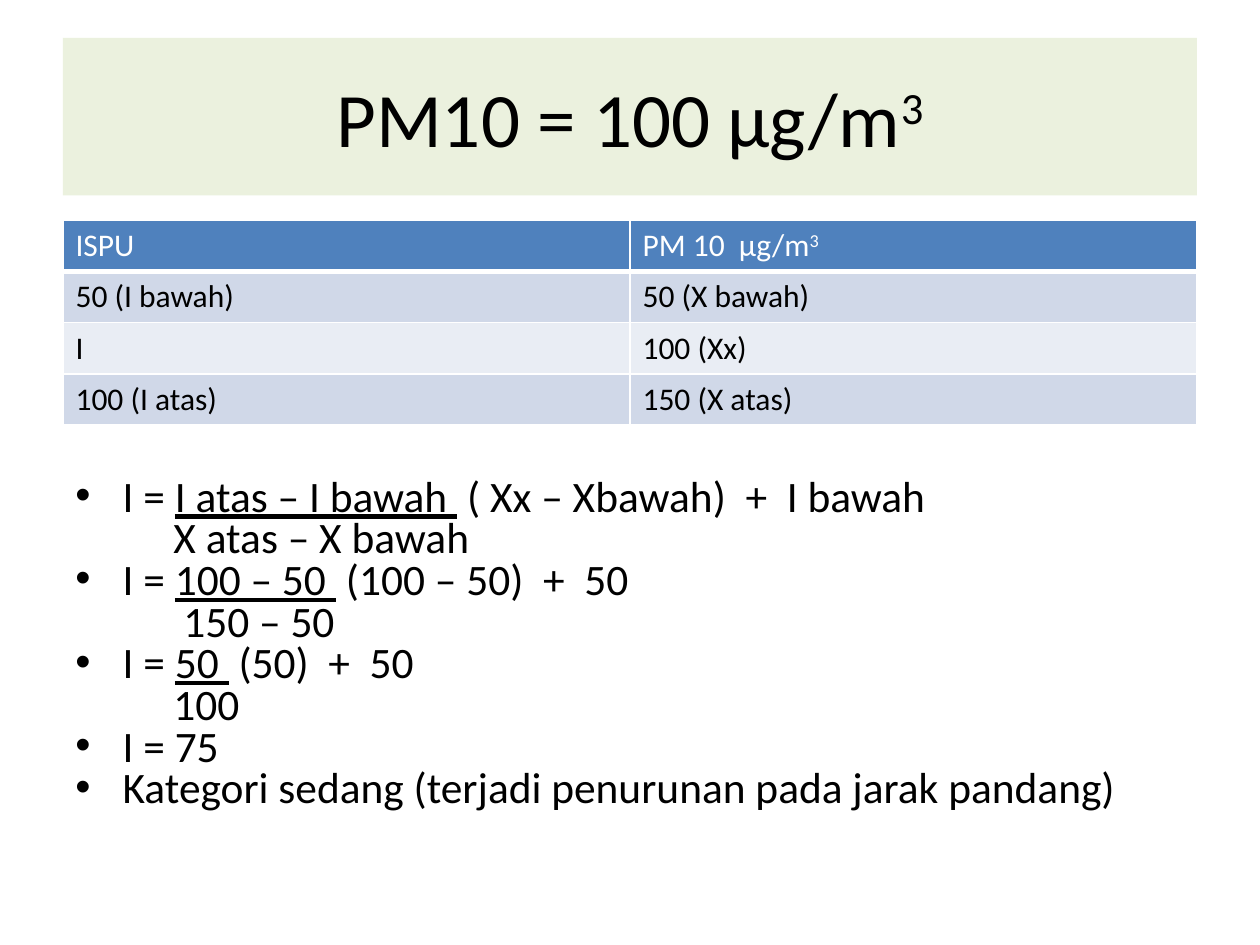
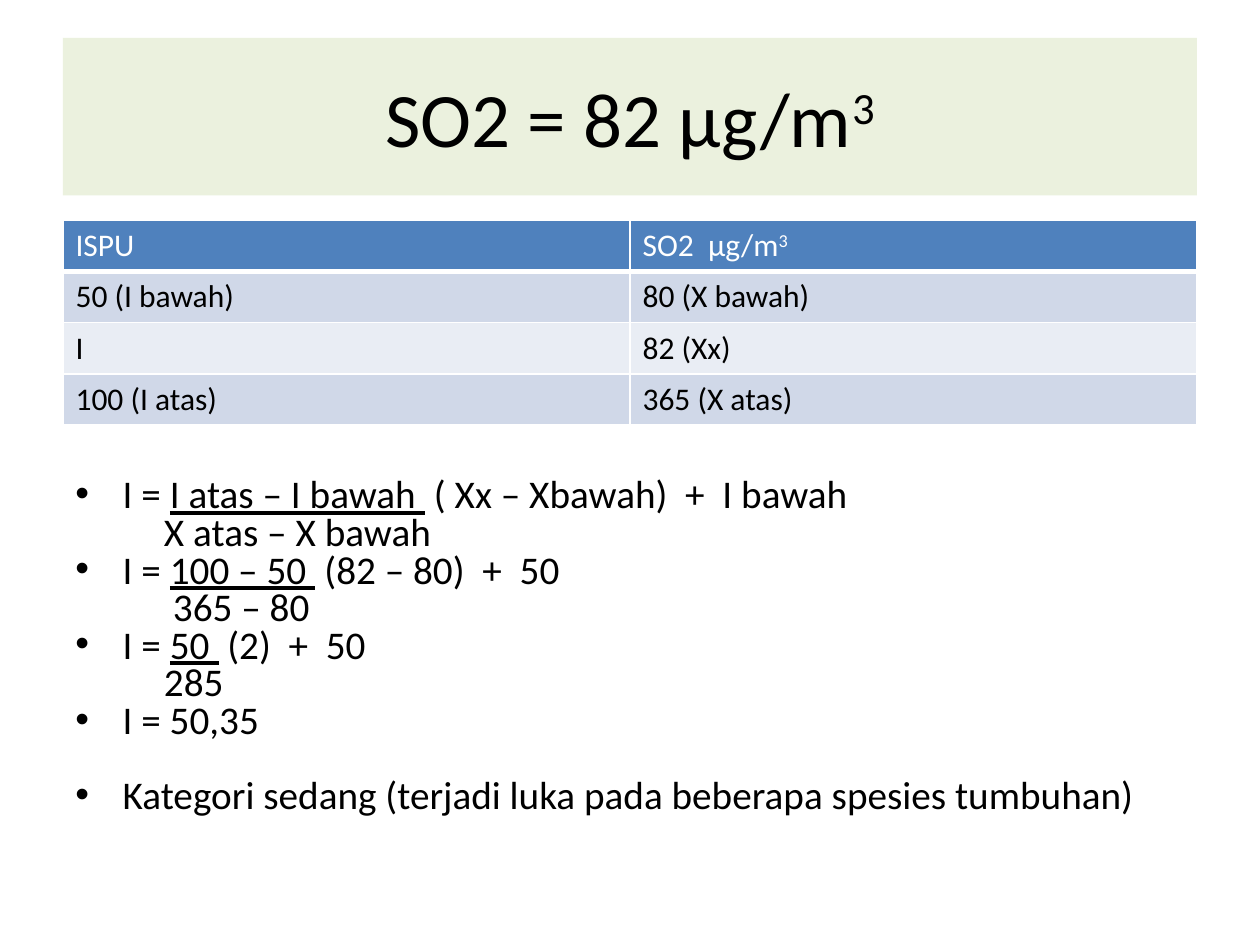
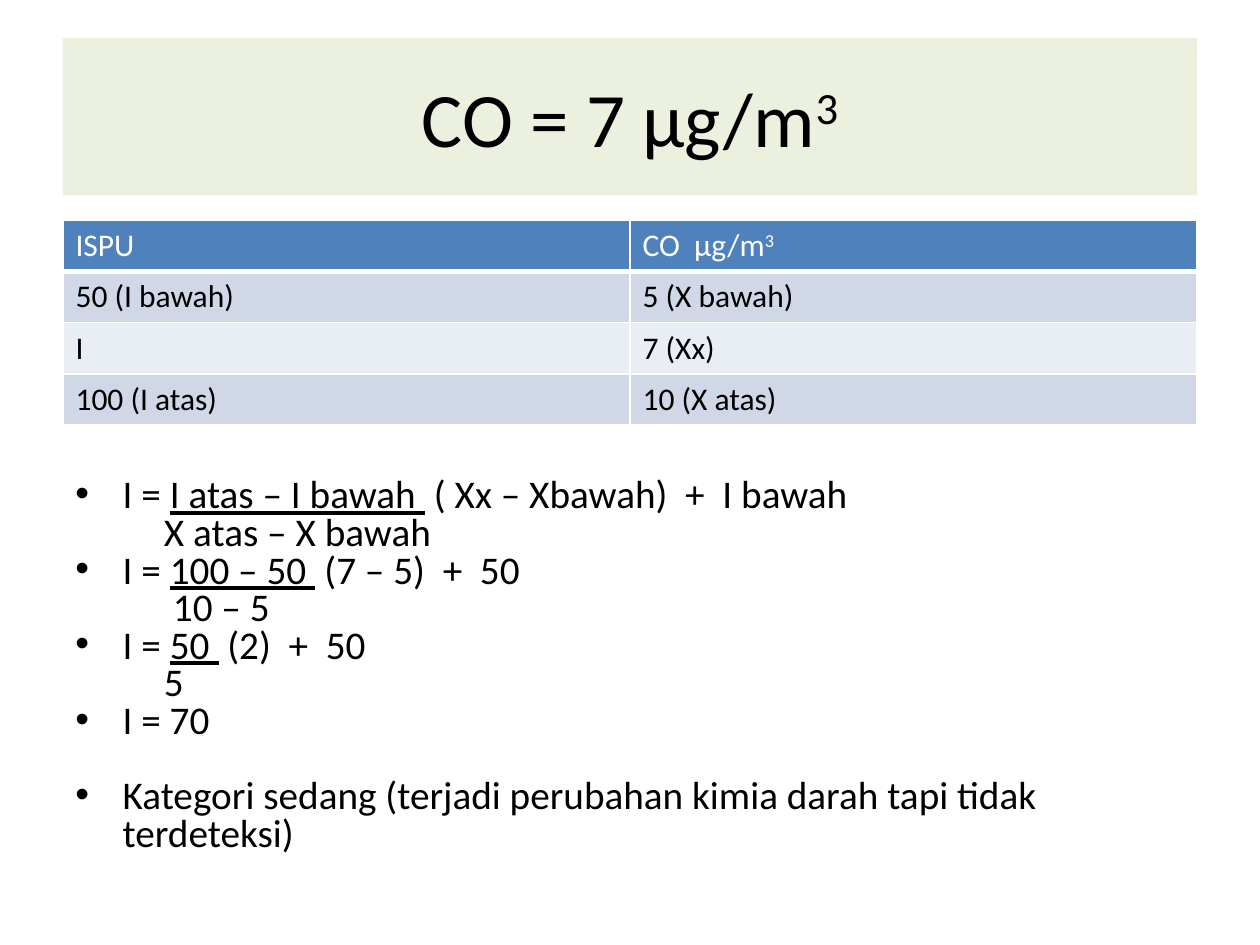
import pptx
import pptx.util
import pptx.dml.color
import pptx.enum.shapes
import pptx.enum.text
import pptx.oxml
import pptx.oxml.ns
from lxml import etree

Pt = pptx.util.Pt
qn = pptx.oxml.ns.qn

COLORS = {
    "band": "EBF1DE",
    "head": "4F81BD",
    "odd": "D0D8E8",
    "even": "E9EDF4",
    "text": "000000",
    "white": "FFFFFF",
}
FONT = "Calibri"
LEFT, WIDTH = 36, 648
HANG = 27


def rgb(name):
    return pptx.dml.color.RGBColor.from_string(COLORS[name])


class Deck:
    def __init__(self):
        self.prs = pptx.Presentation()
        self.prs.slide_width, self.prs.slide_height = Pt(720), Pt(540)
        self.s = None

    def slide(self):
        self.s = self.prs.slides.add_slide(self.prs.slide_layouts[6])

    def run(self, p, text, size, color="text", underline=False, raised=False):
        r = p.add_run()
        r.text = text
        r.font.name, r.font.size, r.font.bold = FONT, Pt(size), False
        r.font.color.rgb = rgb(color)
        if underline:
            r.font.underline = True
        if raised:
            r.font._element.set("baseline", "30000")

    def unit(self, p, text, size, color="text"):
        """Text followed by the unit, with its raised exponent."""
        self.run(p, text + "μg/m", size, color)
        self.run(p, "3", size, color, raised=True)

    def title(self, text):
        sp = self.s.shapes.add_shape(pptx.enum.shapes.MSO_SHAPE.RECTANGLE,
                                     Pt(LEFT), Pt(21.6), Pt(WIDTH), Pt(90))
        sp.shadow.inherit = False
        sp.fill.solid()
        sp.fill.fore_color.rgb = rgb("band")
        sp.line.fill.background()
        tf = sp.text_frame
        tf.word_wrap = True
        tf.vertical_anchor = pptx.enum.text.MSO_ANCHOR.MIDDLE
        p = tf.paragraphs[0]
        p.alignment = pptx.enum.text.PP_ALIGN.CENTER
        self.unit(p, text, 44)

    def borders(self, cell, bottom):
        tcPr = cell._tc.get_or_add_tcPr()
        for side, width in zip("LRTB", (1, 1, 1, bottom)):
            ln = etree.SubElement(tcPr, qn("a:ln" + side), w=str(Pt(width)))
            fill = etree.SubElement(ln, qn("a:solidFill"))
            etree.SubElement(fill, qn("a:srgbClr"), val=COLORS["white"])

    def table(self, heading, rows):
        tbl = self.s.shapes.add_table(len(rows) + 1, 2, Pt(LEFT), Pt(126),
                                      Pt(WIDTH), Pt(116.8)).table
        for i, row in enumerate([("ISPU", heading)] + rows):
            tbl.rows[i].height = Pt(29.2)
            fill = "head" if i == 0 else "odd" if i % 2 else "even"
            color = "text" if i else "white"
            for j, text in enumerate(row):
                cell = tbl.cell(i, j)
                self.borders(cell, 1 if i else 3)
                cell.fill.solid()
                cell.fill.fore_color.rgb = rgb(fill)
                p = cell.text_frame.paragraphs[0]
                if i == 0 and j == 1:
                    self.unit(p, text, 18, color)
                else:
                    self.run(p, text, 18, color)

    def body(self):
        sp = self.s.shapes.add_textbox(Pt(LEFT), Pt(270), Pt(WIDTH), Pt(212.4))
        sp.text_frame.word_wrap = True
        return sp.text_frame

    def line(self, tf, indent, bullet=False, before=0):
        p = tf.paragraphs[0]
        if p.runs:
            p = tf.add_paragraph()
        p.line_spacing = 0.8
        p.space_before = Pt(before)
        pPr = p._p.get_or_add_pPr()
        pPr.set("marL", str(Pt(indent)))
        pPr.set("indent", str(Pt(-HANG if bullet else 0)))
        if bullet:
            etree.SubElement(pPr, qn("a:buFont"), typeface="Arial")
            etree.SubElement(pPr, qn("a:buChar"), char="•")
        else:
            etree.SubElement(pPr, qn("a:buNone"))
        return p

    def bullet(self, tf, text, size, before=0):
        self.run(self.line(tf, HANG, True, before), text, size)

    def fraction(self, tf, top, rest, bottom, size, shift):
        """Underlined numerator, with the denominator indented by shift ems."""
        p = self.line(tf, HANG, True)
        self.run(p, "I = ", size)
        self.run(p, top + " ", size, underline=True)
        self.run(p, " " + rest, size)
        self.run(self.line(tf, round(shift * size, 2)), bottom, size)


# gas, table heading, lower / measured / upper value, differences,
# result, category, text size, gap before the category
SLIDES = [
    ("PM10", "PM 10", 50, 100, 150, "75",
     "terjadi penurunan pada jarak pandang", 24.8, 0),
    ("SO2", "SO2", 80, 82, 365, "50,35",
     "terjadi luka pada beberapa spesies tumbuhan", 22.4, 21.4),
    ("CO", "CO", 5, 7, 10, "70",
     "terjadi perubahan kimia darah tapi tidak terdeteksi", 22.4, 21.4),
]

deck = Deck()
for gas, heading, low, x, high, result, effect, size, gap in SLIDES:
    deck.slide()
    deck.title(f"{gas} = {x} ")
    deck.table(heading + "  ", [
        ("50 (I bawah)", f"{low} (X bawah)"),
        ("I", f"{x} (Xx)"),
        ("100 (I atas)", f"{high} (X atas)"),
    ])

    # Interpolation, step by step
    tf = deck.body()
    for top, rest, bottom, shift in [
        ("I atas – I bawah", "( Xx – Xbawah)  +  I bawah", "X atas – X bawah", 2.26),
        ("100 – 50", f"({x} – {low})  +  50", f"{high} – {low}", 2.49),
        ("50", f"({x - low})  +  50", f"{high - low}", 2.26),
    ]:
        deck.fraction(tf, top, rest, bottom, size, shift)
    deck.bullet(tf, f"I = {result}", size)
    deck.bullet(tf, f"Kategori sedang ({effect})", size, gap)

deck.prs.save("out.pptx")
